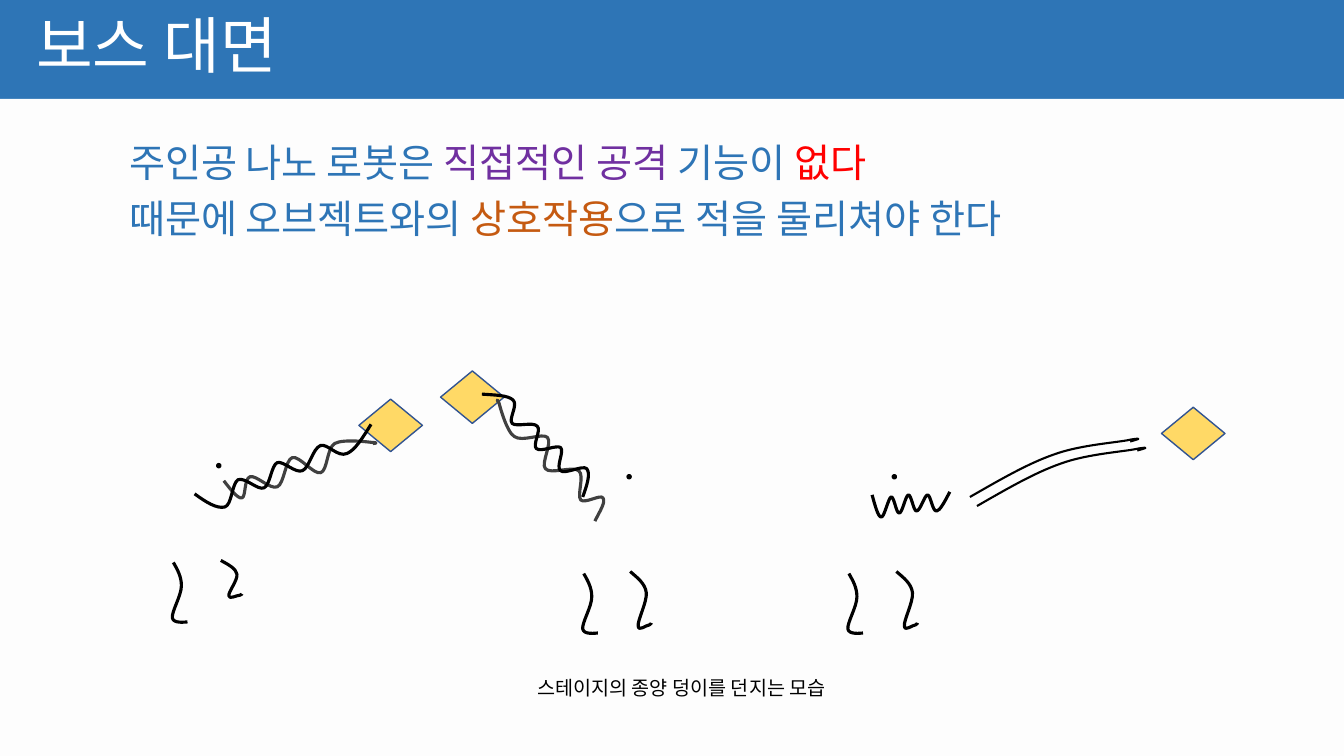
from dataclasses import dataclass

from pptx import Presentation
from pptx.dml.color import RGBColor
from pptx.enum import shapes as kinds, text as t
from pptx.oxml import ns, xmlchemy
from pptx.util import Inches, Pt

FONT = "Noto Sans CJK KR"
BLUE, PAPER, BLACK, GREY = "2E75B6", "FDFDFD", "000000", "404040"
PURPLE, RED, ORANGE, YELLOW, OUTLINE = "7030A0", "FF0000", "C55A11", "FFD966", "325491"
TUMOR_SIZE = (0.63, 0.52)
EYE_SIZE = (0.04, 0.04)
Points = list[tuple[float, float]]


@dataclass
class Stroke:
    """A start point followed by three points for each Bezier curve."""
    points: Points
    color: str = BLACK
    width: float = 2.25


@dataclass
class Scene:
    tumor: tuple[float, float]
    eye: tuple[float, float]
    strokes: list[Stroke]


def rgb(value: str) -> RGBColor:
    return RGBColor.from_string(value)


def moved(points: Points, left: float, top: float, stretch: float = 1) -> Points:
    return [(left + x, top + y * stretch) for x, y in points]


def legs(left: tuple[float, float], right: tuple[float, float],
         stretch: float = 1) -> list[Stroke]:
    return [Stroke(moved(RIGHT_LEG, *right, stretch)), Stroke(moved(LEFT_LEG, *left))]


def add_figure(shapes, kind, box, fill: str, line: str | None = None):
    figure = shapes.add_shape(kind, *(Inches(length) for length in box))
    figure.shadow.inherit = False
    figure.fill.solid()
    figure.fill.fore_color.rgb = rgb(fill)
    if line:
        figure.line.color.rgb = rgb(line)
        figure.line.width = Pt(1)
    else:
        figure.line.fill.background()
    return figure


def add_stroke(shapes, stroke: Stroke) -> None:
    start, *rest = [(Inches(x), Inches(y)) for x, y in stroke.points]
    builder = shapes.build_freeform(*start)
    builder.add_line_segments(rest, close=False)
    curve = builder.convert_to_shape()
    segments = list(curve._element.iter(ns.qn("a:lnTo")))
    for first in range(0, len(segments), 3):
        bezier = xmlchemy.OxmlElement("a:cubicBezTo")
        segments[first].addprevious(bezier)
        for segment in segments[first:first + 3]:
            bezier.append(segment[0])
            segment.getparent().remove(segment)
    curve.shadow.inherit = False
    curve.fill.background()
    curve.line.color.rgb = rgb(stroke.color)
    curve.line.width = Pt(stroke.width)


def add_scene(slide, scene: Scene) -> None:
    shapes = slide.shapes.add_group_shape().shapes
    add_figure(shapes, kinds.MSO_SHAPE.DIAMOND, scene.tumor + TUMOR_SIZE, YELLOW, OUTLINE)
    add_figure(shapes, kinds.MSO_SHAPE.OVAL, scene.eye + EYE_SIZE, BLACK, BLACK)
    for stroke in scene.strokes:
        add_stroke(shapes, stroke)


def write(holder, box, lines, *, size: float, align=t.PP_ALIGN.LEFT,
          anchor=t.MSO_ANCHOR.TOP, gap: float = 10) -> None:
    """Place the holder and fill it with lines of (text, colour) runs."""
    holder.left, holder.top, holder.width, holder.height = map(Inches, box)
    frame = holder.text_frame
    frame.word_wrap = True
    frame.auto_size = t.MSO_AUTO_SIZE.NONE
    frame.vertical_anchor = anchor
    for index, runs in enumerate(lines):
        paragraph = frame.add_paragraph() if index else frame.paragraphs[0]
        properties = paragraph._p.get_or_add_pPr()
        properties.set("marL", "0")
        properties.set("indent", "0")
        properties.append(xmlchemy.OxmlElement("a:buNone"))
        paragraph.alignment = align
        paragraph.line_spacing = 0.9
        paragraph.space_before = Pt(gap if index else 0)
        for words, color in runs:
            run = paragraph.add_run()
            run.text = words
            run.font.size = Pt(size)
            run.font.color.rgb = rgb(color)
            run.font.name = FONT
            east_asian = xmlchemy.OxmlElement("a:ea")
            east_asian.set("typeface", FONT)
            run.font._element.append(east_asian)


LEFT_LEG = [(0.01, 0), (0.05, 0.07), (0.09, 0.14), (0.09, 0.23),
            (0.09, 0.33), (-0.01, 0.49), (0, 0.55),
            (0.01, 0.61), (0.13, 0.59), (0.15, 0.59)]
RIGHT_LEG = [(0, 0), (0.07, 0.06), (0.15, 0.12), (0.16, 0.21),
             (0.17, 0.3), (0.07, 0.49), (0.08, 0.54),
             (0.08, 0.6), (0.16, 0.53), (0.19, 0.53),
             (0.21, 0.52), (0.21, 0.51), (0.21, 0.51)]
THROW_TRAIL = [(9.62, 4.93), (9.9, 4.77), (10.19, 4.6), (10.45, 4.51),
               (10.72, 4.41), (11.1, 4.39), (11.22, 4.36),
               (11.35, 4.34), (11.28, 4.36), (11.21, 4.38)]

GRAB = Scene((3.56, 3.96), (2.15, 4.6), [
    Stroke([(2.22, 4.77), (2.29, 4.86), (2.36, 4.95), (2.4, 4.94),
            (2.44, 4.93), (2.42, 4.75), (2.48, 4.73),
            (2.54, 4.71), (2.68, 4.86), (2.75, 4.83),
            (2.82, 4.8), (2.83, 4.56), (2.9, 4.54),
            (2.97, 4.52), (3.11, 4.71), (3.18, 4.69),
            (3.25, 4.67), (3.24, 4.45), (3.32, 4.4),
            (3.41, 4.35), (3.69, 4.39), (3.69, 4.39),
            (3.75, 4.39), (3.73, 4.4), (3.7, 4.4)], GREY),
    *legs((1.71, 5.58), (2.19, 5.56), stretch=0.65),
    Stroke([(1.93, 4.9), (2.04, 4.98), (2.15, 5.05), (2.23, 5.03),
            (2.3, 5.01), (2.3, 4.8), (2.36, 4.76),
            (2.43, 4.73), (2.56, 4.87), (2.62, 4.84),
            (2.68, 4.81), (2.69, 4.62), (2.75, 4.59),
            (2.81, 4.57), (2.93, 4.7), (3, 4.67),
            (3.07, 4.64), (3.1, 4.45), (3.18, 4.42),
            (3.25, 4.4), (3.35, 4.54), (3.44, 4.5),
            (3.52, 4.47), (3.6, 4.34), (3.68, 4.21)]),
])
SWING = Scene((4.37, 3.68), (6.22, 4.71), [
    Stroke([(5.9, 5.17), (5.95, 5.07), (6.01, 4.98), (5.98, 4.94),
            (5.96, 4.9), (5.8, 5), (5.76, 4.96),
            (5.72, 4.91), (5.8, 4.72), (5.74, 4.67),
            (5.68, 4.62), (5.46, 4.71), (5.41, 4.65),
            (5.36, 4.6), (5.48, 4.4), (5.43, 4.34),
            (5.38, 4.29), (5.18, 4.39), (5.1, 4.33),
            (5.02, 4.28), (4.95, 4), (4.95, 4),
            (4.92, 3.95), (4.93, 3.97), (4.95, 3.99)], GREY),
    *legs((5.78, 5.69), (6.25, 5.67)),
    Stroke([(5.78, 4.93), (5.82, 4.82), (5.86, 4.7), (5.82, 4.65),
            (5.78, 4.61), (5.6, 4.71), (5.56, 4.67),
            (5.51, 4.63), (5.6, 4.48), (5.56, 4.44),
            (5.52, 4.41), (5.36, 4.49), (5.32, 4.45),
            (5.28, 4.41), (5.37, 4.27), (5.33, 4.23),
            (5.29, 4.18), (5.12, 4.24), (5.08, 4.2),
            (5.04, 4.16), (5.14, 4.02), (5.09, 3.97),
            (5.04, 3.92), (4.91, 3.92), (4.78, 3.91)]),
])
THROW = Scene((11.52, 4.04), (8.85, 4.71), [
    *legs((8.41, 5.69), (8.89, 5.67)),
    Stroke([(8.65, 4.91), (8.68, 5.02), (8.71, 5.13), (8.74, 5.13),
            (8.77, 5.14), (8.81, 4.94), (8.84, 4.93),
            (8.87, 4.93), (8.89, 5.1), (8.92, 5.09),
            (8.95, 5.09), (8.98, 4.92), (9.01, 4.91),
            (9.04, 4.91), (9.06, 5.07), (9.09, 5.07),
            (9.13, 5.07), (9.17, 4.91), (9.2, 4.91),
            (9.23, 4.91), (9.25, 5.08), (9.29, 5.07),
            (9.32, 5.07), (9.37, 4.98), (9.42, 4.88)]),
    Stroke(THROW_TRAIL, width=1.5),
    Stroke(moved(THROW_TRAIL, 0.07, 0.09), width=1.5),
])


def main() -> None:
    deck = Presentation()
    deck.slide_width, deck.slide_height = Inches(13.33), Inches(7.5)
    slide = deck.slides.add_slide(deck.slide_layouts[1])
    slide.background.fill.solid()
    slide.background.fill.fore_color.rgb = rgb(BLUE)
    title, message = slide.placeholders

    page = add_figure(slide.shapes, kinds.MSO_SHAPE.RECTANGLE, (0, 0.98, 13.33, 6.52), PAPER)
    title._element.addprevious(page._element)
    write(title, (0.26, 0, 11.5, 0.97), [[("보스 대면", "FFFFFF")]],
          size=44, anchor=t.MSO_ANCHOR.MIDDLE)
    write(message, (1.18, 1.37, 11.02, 1.51), [
        [("주인공 나노 로봇은 ", BLUE), ("직접적인 공격 ", PURPLE),
         ("기능이 ", BLUE), ("없다", RED)],
        [("때문에 오브젝트와의 ", BLUE), ("상호작용", ORANGE),
         ("으로 적을 물리쳐야 한다", BLUE)],
    ], size=28)
    caption = slide.shapes.add_textbox(0, 0, 0, 0)
    write(caption, (4.6, 6.68, 4.32, 0.39), [[("스테이지의 종양 덩이를 던지는 모습", BLACK)]],
          size=14, align=t.PP_ALIGN.CENTER)
    for scene in (GRAB, SWING, THROW):
        add_scene(slide, scene)
    deck.save("out.pptx")


if __name__ == "__main__":
    main()
